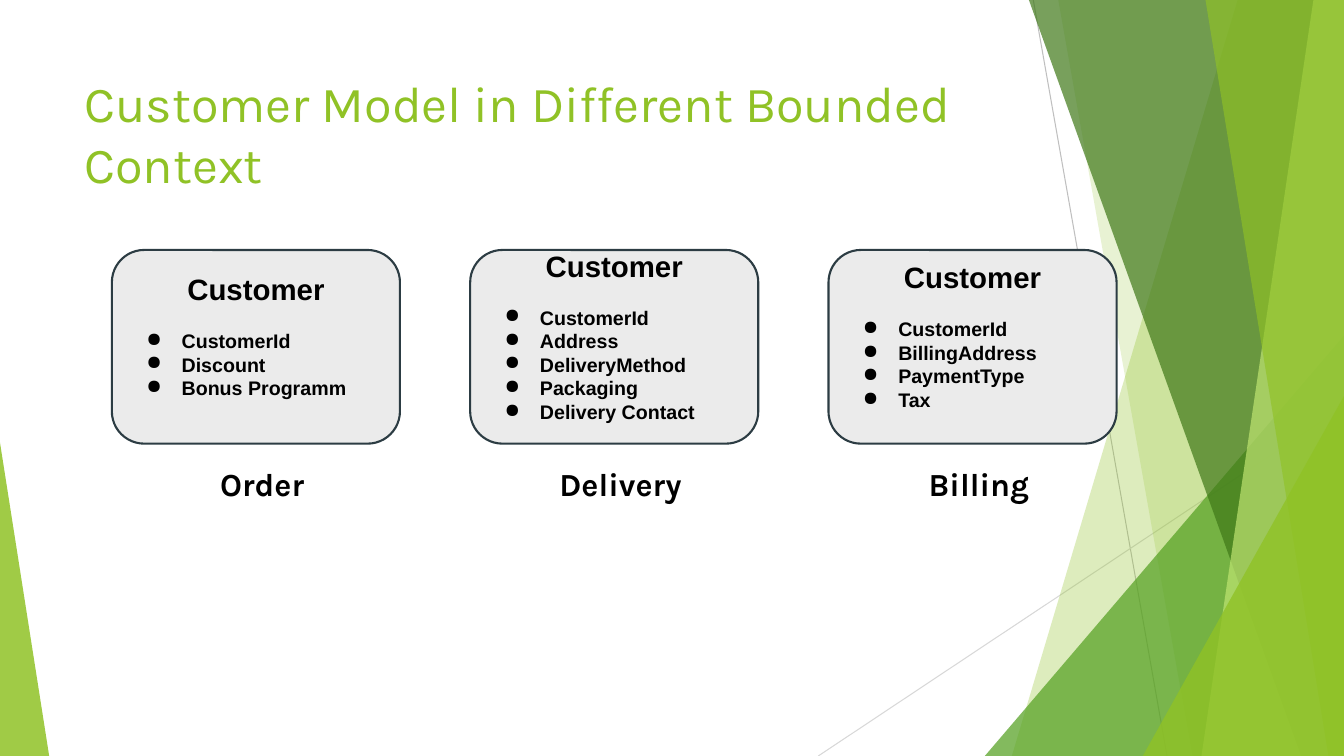
from lxml import etree
from pptx import Presentation, util as u
from pptx.dml.color import RGBColor
from pptx.enum import shapes, text
from pptx.oxml.ns import qn

WIDTH, HEIGHT = 33.87, 19.05
COLORS = {
    "lime": "90C226", "green": "54A021", "forest": "3F7818", "pale": "BFE471",
    "card": "EBEBEB", "outline": "2C3C43", "ink": "000000",
    "gray": "BFBFBF", "light_gray": "D8D8D8",
}
CONTEXTS = {
    "Order": ["CustomerId", "Discount", "Bonus Programm"],
    "Delivery": ["CustomerId", "Address", "DeliveryMethod", "Packaging",
                 "Delivery Contact"],
    "Billing": ["CustomerId", "BillingAddress", "PaymentType", "Tax"],
}


def cm(*values):
    """Turn numbers into lengths in centimetres."""
    return [u.Cm(value) for value in values]


def color(name):
    """Look up a colour by name."""
    return RGBColor.from_string(COLORS[name])


def write(paragraph, words, size, font="Arial", ink="ink", bold=True,
          align=text.PP_ALIGN.CENTER, space_after=0, bullet=None):
    """Fill a paragraph with one formatted run, optionally bulleted."""
    paragraph.alignment = align
    paragraph.space_after = u.Pt(space_after)
    run = paragraph.add_run()
    run.text = words
    run.font.name, run.font.size, run.font.bold = font, u.Pt(size), bold
    run.font.color.rgb = color(ink)
    if bullet:
        properties = paragraph._p.get_or_add_pPr()
        properties.set("marL", str(u.Cm(1.27)))
        properties.set("indent", str(u.Cm(-0.89)))
        bullet_color = etree.SubElement(properties, qn("a:buClr"))
        etree.SubElement(bullet_color, qn("a:srgbClr"), val=COLORS[ink])
        etree.SubElement(properties, qn("a:buChar"), char=bullet)


class Deck:
    """The style and the current slide."""

    def __init__(self):
        """Open a presentation with one blank slide."""
        self.presentation = Presentation()
        self.presentation.slide_width, self.presentation.slide_height = cm(WIDTH, HEIGHT)
        self.slide = self.presentation.slides.add_slide(
            self.presentation.slide_layouts[6])

    def paint(self, shape, fill, opacity=100, outline=None):
        """Give a shape its fill, opacity and outline."""
        shape.shadow.inherit = False
        shape.fill.solid()
        shape.fill.fore_color.rgb = color(fill)
        if opacity < 100:
            solid = shape.element.spPr.find(qn("a:solidFill"))
            etree.SubElement(solid[0], qn("a:alpha"), val=str(opacity * 1000))
        if outline:
            shape.line.color.rgb = color(outline)
            shape.line.width = u.Pt(1.5)
        else:
            shape.line.fill.background()

    def line(self, start, end, ink):
        """Draw a thin straight line."""
        connector = self.slide.shapes.add_connector(
            shapes.MSO_CONNECTOR.STRAIGHT, *cm(*start, *end))
        connector.line.color.rgb = color(ink)
        connector.line.width = u.Pt(0.75)
        etree.SubElement(connector.element.spPr, qn("a:effectLst"))

    def band(self, top_x, bottom_x, fill, opacity):
        """Draw a full-height band from a slanted edge to the right border."""
        builder = self.slide.shapes.build_freeform(*cm(top_x, 0))
        builder.add_line_segments(
            [cm(WIDTH, 0), cm(WIDTH, HEIGHT), cm(bottom_x, HEIGHT)], close=True)
        self.paint(builder.convert_to_shape(), fill, opacity)

    def triangle(self, left, top, width, apex, fill, opacity):
        """Draw a right triangle that stands on the bottom border."""
        shape = self.slide.shapes.add_shape(
            shapes.MSO_SHAPE.ISOSCELES_TRIANGLE,
            *cm(left, top, width, HEIGHT - top))
        shape.adjustments[0] = apex
        self.paint(shape, fill, opacity)

    def frame(self, shape, vertical, bottom, anchor):
        """Set wrapping, insets and anchor, and return the text frame."""
        frame = shape.text_frame
        frame.word_wrap = True
        frame.vertical_anchor = anchor
        frame.margin_left = frame.margin_right = u.Cm(0.25)
        frame.margin_top, frame.margin_bottom = cm(vertical, bottom)
        return frame

    def label(self, box, words, inset=0.25, **style):
        """Add a text box with one paragraph."""
        shape = self.slide.shapes.add_textbox(*cm(*box))
        frame = self.frame(shape, inset, inset, text.MSO_ANCHOR.TOP)
        write(frame.paragraphs[0], words, font="Karla", **style)

    def card(self, box, heading, fields):
        """Add a rounded card with a heading and bulleted fields."""
        shape = self.slide.shapes.add_shape(
            shapes.MSO_SHAPE.ROUNDED_RECTANGLE, *cm(*box))
        shape.adjustments[0] = 0.167
        self.paint(shape, "card", outline="outline")
        frame = self.frame(shape, 0.25, 0.82, text.MSO_ANCHOR.MIDDLE)
        write(frame.paragraphs[0], heading, 21, space_after=16)
        for field in fields:
            write(frame.add_paragraph(), field, 14,
                  align=text.PP_ALIGN.LEFT, bullet="●")


def draw_background(deck):
    """Draw the translucent facets along the borders."""
    deck.line((26.04, 0), (29.41, HEIGHT), "gray")
    deck.line((WIDTH, 10.24), (20.62, HEIGHT), "light_gray")
    deck.band(31.19, 25.5, "lime", 30)
    deck.band(26.67, 30.05, "lime", 20)
    deck.triangle(24.82, 8.46, WIDTH - 24.82, 1, "green", 72)
    deck.band(25.93, 32.79, "forest", 70)
    deck.band(33.1, 30.28, "pale", 70)
    deck.band(30.38, 33.48, "lime", 65)
    deck.triangle(28.8, 9.98, WIDTH - 28.8, 1, "lime", 80)
    deck.triangle(0, 11.15, 1.24, 0, "lime", 85)


def main():
    """Build and save the slide."""
    deck = Deck()
    draw_background(deck)
    deck.label((1.88, 1.7, 23.88, 3.66),
               "Customer Model in Different Bounded Context", inset=0.13,
               size=36, ink="lime", bold=False, align=text.PP_ALIGN.LEFT)
    for index, (context, fields) in enumerate(CONTEXTS.items()):
        left = 2.82 + index * 9.03
        deck.card((left, 6.3, 7.26, 4.88), "Customer", fields)
        deck.label((left + 0.31, 11.46, 6.96, 1.42), context, size=23)
    deck.presentation.save("out.pptx")


main()
